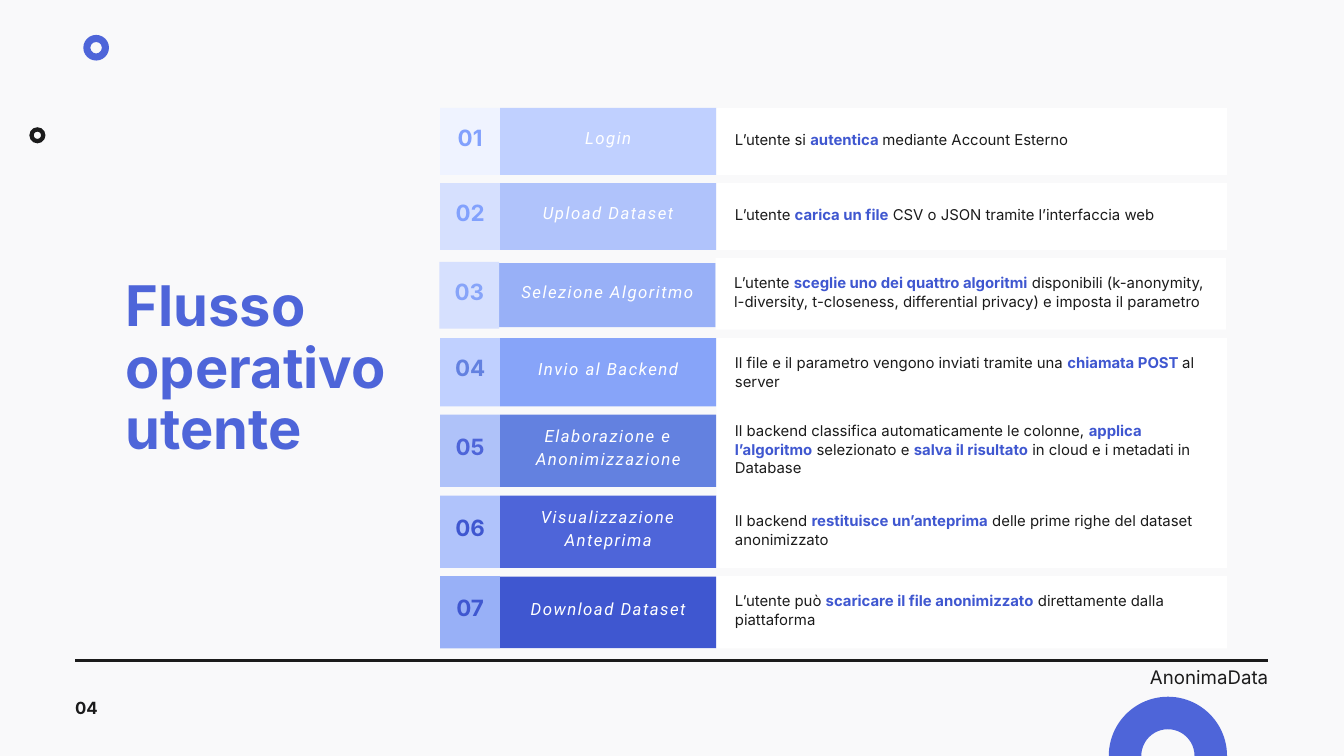
from pptx import Presentation
from pptx import util as u
from pptx.dml.color import RGBColor
from pptx.enum import shapes, text

TITLE = ["Flusso", "operativo", "utente"]
PAGE, FOOTER = "04", "AnonimaData"

STEPS = [
    ("Login", "L’utente si *autentica *mediante Account Esterno"),
    ("Upload Dataset", "L’utente *carica un file* CSV o JSON tramite l’interfaccia web"),
    ("Selezione Algoritmo", "L’utente *sceglie uno dei quattro algoritmi* disponibili (k-anonymity, "
     "l-diversity, t-closeness, differential privacy) e imposta il parametro"),
    ("Invio al Backend", "Il file e il parametro vengono inviati tramite una *chiamata POST *al server"),
    ("Elaborazione e Anonimizzazione", "Il backend classifica automaticamente le colonne, "
     "*applica l’algoritmo* selezionato e *salva il risultato* in cloud e i metadati in Database"),
    ("Visualizzazione Anteprima", "Il backend *restituisce un’anteprima* delle prime righe "
     "del dataset anonimizzato"),
    ("Download Dataset", "L’utente può *scaricare il file anonimizzato* direttamente dalla piattaforma"),
]

ROWS = [(4.08, 2.53), (6.92, 2.53), (9.9, 2.53), (12.78, 2.58),
        (15.68, 2.73), (18.74, 2.73), (21.78, 2.73)]
LABEL_ROWS = {2: (9.95, 2.42), 6: (21.8, 2.7)}
DETAIL_ROWS = {2: (9.76, 2.7), 3: (12.78, 2.7), 4: (15.37, 3.38)}
ROW_SHIFT = {2: -0.03}

COLUMNS = {
    "number": dict(left=16.64, width=2.26, inset=0.15, lift=0.49),
    "label": dict(left=18.9, width=8.18, inset=0.7, lift=0.39),
    "detail": dict(left=27.08, width=19.3, inset=0.7, lift=0.18),
}

RINGS = [(3.15, 1.32, 0.97, "accent"), (1.11, 4.81, 0.61, "ink"), (41.91, 26.34, 4.47, "accent")]
RING_THICKNESS = 0.275

THEME = {
    "background": "F9F9FA", "accent": "4E65D9", "ink": "1B1B1B", "panel": "FFFFFF", "strong": "3F57D0",
    "number_fills": ["EFF3FF", "D6E0FE", "D6E0FE", "C0D0FF", "AFC2F9", "B0C3FB", "98B0F7"],
    "number_inks": ["82A1FD", "82A1FD", "87A4F9", "6381E0", "4E65D9", "3F57D0", "3F57D0"],
    "label_fills": ["C0D0FF", "B0C3FB", "98B0F7", "87A4F9", "6381E0", "4E65D9", "3F57D0"],
    "fonts": {
        "title": dict(name="Inter", size=u.Pt(60), bold=True),
        "page": dict(name="Inter", size=u.Pt(18), bold=True),
        "footer": dict(name="Inter", size=u.Pt(20)),
        "number": dict(name="Inter", size=u.Pt(24), bold=True),
        "label": dict(name="Roboto", size=u.Pt(18), italic=True),
        "detail": dict(name="Inter", size=u.Pt(16), bold=False),
    },
    "leading": dict(title=66, page=25.2, footer=28, number=33.6, label=25.2, detail=20),
    "tracking": {"label": 160},
}

ALIGN = text.PP_ALIGN


def set_values(obj, values):
    for key, value in values.items():
        setattr(obj, key, value)


def add_filled(s, kind, box, color):
    sp = s.shapes.add_shape(kind, *map(u.Cm, box))
    sp.shadow.inherit = False
    sp.fill.solid()
    sp.fill.fore_color.rgb = RGBColor.from_string(color)
    sp.line.fill.background()
    return sp


def write(sp, lines, style, color, align, anchor=text.MSO_ANCHOR.TOP, inset=0, lift=0):
    tf = sp.text_frame
    set_values(tf, dict(word_wrap=True, vertical_anchor=anchor, margin_left=u.Cm(inset),
                        margin_right=u.Cm(inset), margin_top=0, margin_bottom=u.Cm(lift)))
    for i, line in enumerate(lines):
        p = tf.add_paragraph() if i else tf.paragraphs[0]
        set_values(p, dict(alignment=align, line_spacing=u.Pt(THEME["leading"][style])))
        for j, part in enumerate(line.split("*")):
            if not part:
                continue
            r = p.add_run()
            r.text = part
            set_values(r.font, THEME["fonts"][style])
            r.font.color.rgb = RGBColor.from_string(THEME["strong"] if j % 2 else color)
            if j % 2:
                r.font.bold = True
            if style in THEME["tracking"]:
                r.font._element.set("spc", str(THEME["tracking"][style]))


def add_text(s, box, lines, style, color, align=ALIGN.LEFT):
    write(s.shapes.add_textbox(*map(u.Cm, box)), lines, style, color, align)


def add_step(s, i, label, detail):
    cells = [
        ("label", label, LABEL_ROWS, THEME["label_fills"][i], THEME["panel"], ALIGN.CENTER),
        ("number", f"{i + 1:02}", {}, THEME["number_fills"][i], THEME["number_inks"][i], ALIGN.CENTER),
        ("detail", detail, DETAIL_ROWS, THEME["panel"], THEME["ink"], ALIGN.LEFT),
    ]
    for style, line, exceptions, fill, color, align in cells:
        column = COLUMNS[style]
        top, height = exceptions.get(i, ROWS[i])
        box = (column["left"] + ROW_SHIFT.get(i, 0), top, column["width"], height)
        sp = add_filled(s, shapes.MSO_SHAPE.RECTANGLE, box, fill)
        write(sp, [line], style, color, align, text.MSO_ANCHOR.MIDDLE, column["inset"], column["lift"])


def main():
    prs = Presentation()
    set_values(prs, dict(slide_width=u.Cm(50.8), slide_height=u.Cm(28.58)))
    s = prs.slides.add_slide(prs.slide_layouts[6])
    s.background.fill.solid()
    s.background.fill.fore_color.rgb = RGBColor.from_string(THEME["background"])

    for i, (label, detail) in enumerate(STEPS):
        add_step(s, i, label, detail)
    for left, top, size, color in RINGS:
        ring = add_filled(s, shapes.MSO_SHAPE.DONUT, (left, top, size, size), THEME[color])
        ring.adjustments[0] = RING_THICKNESS

    add_text(s, (2.84, 26.26, 6.27, 0.86), [PAGE], "page", THEME["ink"])
    add_text(s, (4.75, 10.44, 11.38, 7.06), TITLE, "title", THEME["accent"])
    add_text(s, (35.64, 25.04, 12.3, 0.97), [FOOTER], "footer", THEME["ink"], ALIGN.RIGHT)
    add_filled(s, shapes.MSO_SHAPE.RECTANGLE, (2.84, 24.92, 45.08, 0.1), THEME["ink"])
    prs.save("out.pptx")


if __name__ == "__main__":
    main()
